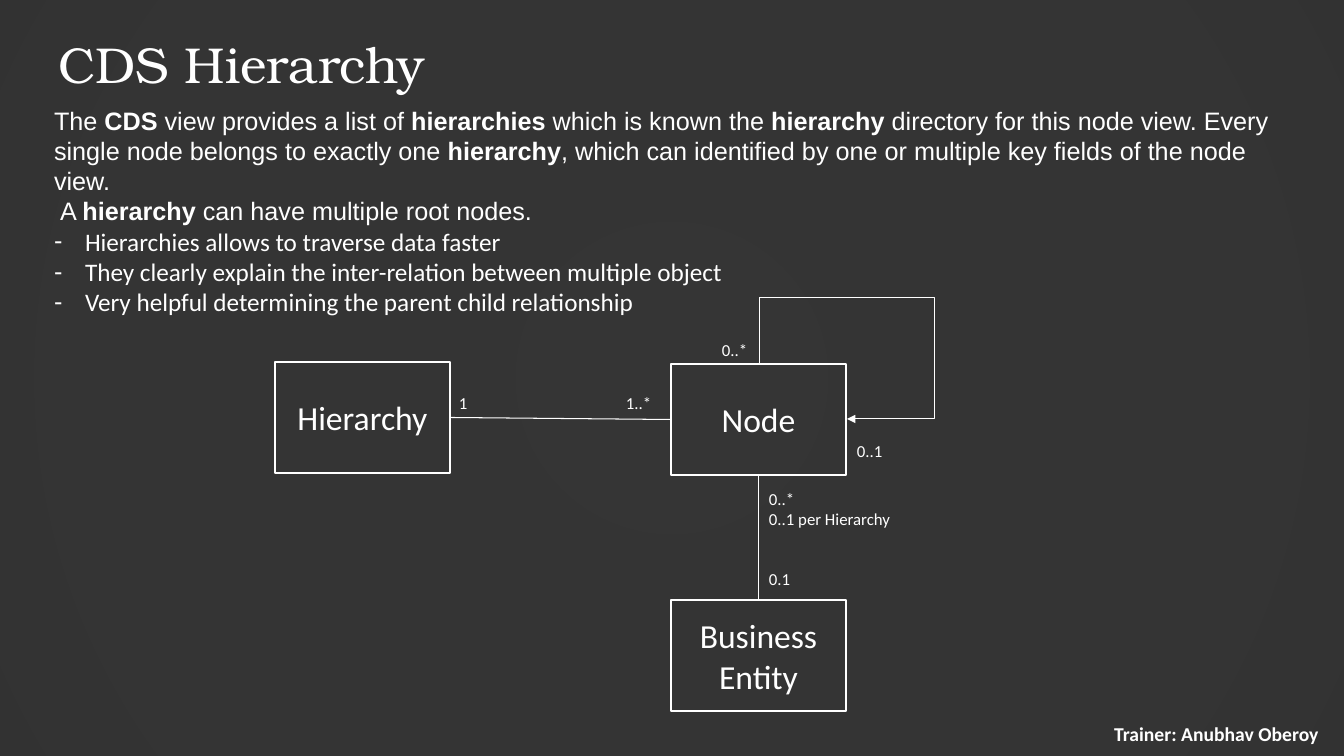
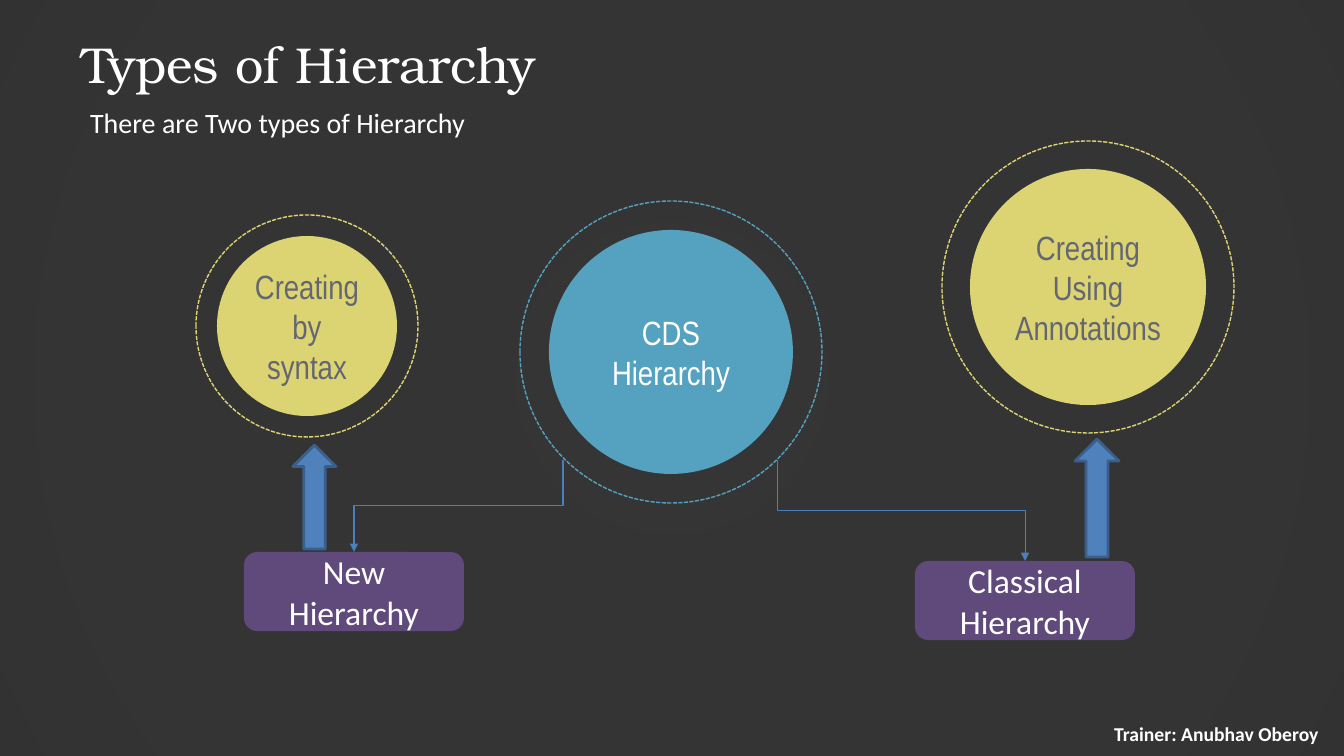
from lxml.etree import SubElement
from pptx import Presentation
from pptx.dml.color import RGBColor
from pptx.enum.dml import MSO_LINE
from pptx.enum.shapes import MSO_CONNECTOR, MSO_SHAPE
from pptx.enum.text import MSO_ANCHOR, MSO_AUTO_SIZE, PP_ALIGN
from pptx.oxml import parse_xml
from pptx.oxml.ns import nsdecls, qn
from pptx.util import Pt

PX = 9071
WIDTH, HEIGHT = 1344, 756
WHITE, DARK, GREY = "FFFFFF", "262626", "646772"
TEAL, YELLOW, PURPLE = "55A1C0", "DCD472", "604A7B"
BLUE, BLUE_EDGE, BLUE_LINE = "4F81BD", "3A5F8C", "4B7EBC"
TITLE_FONT, BODY_FONT = "TeX Gyre Bonum", "Calibri"
color = RGBColor.from_string


def add_figure(slide, kind, bounds, fill=None, line=None, width=1):
    shape = slide.shapes.add_shape(kind, *[value * PX for value in bounds])
    shape.shadow.inherit = False
    if fill:
        shape.fill.solid()
        shape.fill.fore_color.rgb = color(fill)
    else:
        shape.fill.background()
    if line:
        shape.line.color.rgb = color(line)
        shape.line.width = Pt(width)
    else:
        shape.line.fill.background()
    return shape


def write(shape, lines, size, font=BODY_FONT, ink=WHITE, align=PP_ALIGN.CENTER,
          anchor=MSO_ANCHOR.MIDDLE, margins=(10, 5)):
    frame = shape.text_frame
    frame.word_wrap = True
    frame.auto_size = MSO_AUTO_SIZE.NONE
    frame.vertical_anchor = anchor
    frame.margin_left = frame.margin_right = margins[0] * PX
    frame.margin_top = frame.margin_bottom = margins[1] * PX
    frame.text = "\n".join(lines)
    for paragraph in frame.paragraphs:
        pieces = paragraph.text.split("|")
        paragraph.text = pieces[0]
        for piece in pieces[1:]:
            paragraph.add_run().text = piece
        paragraph.alignment = align
        paragraph.space_before = Pt(0)
        for index, run in enumerate(paragraph.runs):
            run.font.size = Pt(size)
            run.font.name = font
            run.font.color.rgb = color(ink)
            run.font.bold = index % 2 == 1


presentation = Presentation()
presentation.slide_width = WIDTH * PX
presentation.slide_height = HEIGHT * PX

master = presentation.slide_master
master.background.fill.gradient()
gradient = master.element.find(".//" + qn("a:gradFill"))
gradient.getparent().replace(gradient, parse_xml(
    f'<a:gradFill {nsdecls("a")} rotWithShape="1"><a:gsLst>'
    '<a:gs pos="0"><a:srgbClr val="FFFFFF"/></a:gs>'
    '<a:gs pos="81000"><a:srgbClr val="EEEEEE"/></a:gs>'
    '<a:gs pos="100000"><a:srgbClr val="D9D9D9"/></a:gs></a:gsLst>'
    '<a:path path="circle"><a:fillToRect l="50000" t="50000" r="50000" b="50000"/></a:path>'
    '</a:gradFill>'))

slide_texts = [
    ("CDS Hierarchy", 45, (44, 100, 1255, 254), 18, [
        "The |CDS| view provides a list of |hierarchies| which is known the |hierarchy"
        "| directory for this node view. Every single node belongs to exactly one |hierarchy"
        "|, which can identified by one or multiple key fields of the node view.",
        "A |hierarchy| can have multiple root nodes.",
        "Hierarchies allows to traverse data faster",
        "They clearly explain the inter-relation between multiple object",
        "Very helpful determining the parent child relationship",
    ]),
    ("Types of Hierarchy", 68, (80, 100, 1068, 44), 20, ["There are Two types of Hierarchy"]),
]
slides = []
for title, title_left, body_bounds, body_size, body_lines in slide_texts:
    slide = presentation.slides.add_slide(presentation.slide_layouts[1])
    slides.append(slide)
    overlay = add_figure(slide, MSO_SHAPE.RECTANGLE, (0, -2, 1347, HEIGHT + 2), DARK)
    SubElement(overlay.element.find(".//" + qn("a:srgbClr")), qn("a:alpha"), val="93000")
    slide.shapes._spTree.insert(2, overlay.element)
    body = slide.placeholders[1]
    footer = slide.shapes.add_textbox(0, 0, 0, 0)
    for shape, bounds in [(slide.shapes.title, (title_left, 24, 1210, 79)),
                          (body, body_bounds), (footer, (1093, 714, 247, 39))]:
        shape.left, shape.top, shape.width, shape.height = [value * PX for value in bounds]
    write(slide.shapes.title, [title], 36, TITLE_FONT, align=PP_ALIGN.LEFT, margins=(13, 7))
    write(body, body_lines, body_size, align=PP_ALIGN.LEFT, anchor=MSO_ANCHOR.TOP)
    write(footer, ["Trainer: Anubhav Oberoy"], 14, margins=(13, 7))
    footer.text_frame.paragraphs[0].runs[0].font.bold = True
    for index, paragraph in enumerate(body.text_frame.paragraphs):
        properties = paragraph._p.get_or_add_pPr()
        left = 31 if index > 1 else 6 * index
        properties.set("marL", str(left * PX))
        properties.set("indent", str(-left * PX if index > 1 else 0))
        if index > 1:
            SubElement(properties, qn("a:buChar"), char="-")
        else:
            SubElement(properties, qn("a:buNone"))

diagram_slide, types_slide = slides
for paragraph in diagram_slide.placeholders[1].text_frame.paragraphs[:2]:
    for run in paragraph.runs:
        run.font.name = "Arial"

entities = []
for left, top, lines in [(275, 362, ["Hierarchy"]), (671, 364, ["Node"]),
                         (671, 600, ["Business", "Entity"])]:
    entity = add_figure(diagram_slide, MSO_SHAPE.RECTANGLE, (left, top, 175, 111), None, WHITE, 2)
    write(entity, lines, 24)
    entities.append(entity)
hierarchy, node, business = entities

connectors = []
for start, start_site, end, end_site in [(business, 0, node, 2), (node, 1, hierarchy, 3)]:
    connector = diagram_slide.shapes.add_connector(MSO_CONNECTOR.STRAIGHT, 0, 0, 0, 0)
    connector.begin_connect(start, start_site)
    connector.end_connect(end, end_site)
    connectors.append((connector, WHITE))

for left, middle, lines in [(459, 403, ["1"]), (626, 403, ["1..*"]), (722, 350, ["0..*"]),
                            (857, 451, ["0..1"]), (769, 509, ["0..*", "0..1 per Hierarchy"]),
                            (769, 579, ["0.1"])]:
    height = 20 * len(lines)
    label = diagram_slide.shapes.add_textbox(
        left * PX, (middle - height // 2) * PX, 140 * PX, height * PX)
    write(label, lines, 12, align=PP_ALIGN.LEFT, margins=(0, 0))

for middle_x, middle_y, outer, inner, fill, ink, text in [
        (671, 352, 302, 244, TEAL, WHITE, "CDS Hierarchy"),
        (1088, 287, 292, 236, YELLOW, GREY, "Creating Using Annotations"),
        (307, 326, 222, 180, YELLOW, GREY, "Creating by syntax")]:
    ring, disc = [(middle_x - size // 2, middle_y - size // 2, size, size)
                  for size in (outer, inner)]
    add_figure(types_slide, MSO_SHAPE.OVAL, ring, None, fill).line.dash_style = MSO_LINE.SQUARE_DOT
    write(add_figure(types_slide, MSO_SHAPE.OVAL, disc, fill), [text], 24, "Arial Narrow", ink)

for left, top, text in [(244, 552, "New Hierarchy"), (915, 561, "Classical Hierarchy")]:
    box = add_figure(types_slide, MSO_SHAPE.ROUNDED_RECTANGLE, (left, top, 220, 79), PURPLE)
    write(box, [text], 24)

for bounds in [(293, 445, 43, 104), (1075, 439, 44, 118)]:
    add_figure(types_slide, MSO_SHAPE.UP_ARROW, bounds, BLUE, BLUE_EDGE, 2)

for slide, start, end, preset, adjustments, line in [
        (diagram_slide, (759, 364), (847, 419), "bentConnector4", (-120900, 199800), WHITE),
        (types_slide, (563, 460), (354, 552), "bentConnector3", (50000,), BLUE_LINE),
        (types_slide, (777, 460), (1025, 561), "bentConnector3", (50000,), BLUE_LINE)]:
    across, down = abs(end[0] - start[0]) * PX, (end[1] - start[1]) * PX
    left = ((start[0] + end[0]) * PX - down) // 2
    top = ((start[1] + end[1]) * PX - across) // 2
    connector = slide.shapes.add_connector(
        MSO_CONNECTOR.ELBOW, left, top, left + down, top + across)
    transform = connector.element.find(".//" + qn("a:xfrm"))
    if end[0] > start[0]:
        transform.set("rot", "16200000")
        transform.set("flipH", "1")
    else:
        transform.set("rot", "5400000")
    geometry = connector.element.find(".//" + qn("a:prstGeom"))
    geometry.set("prst", preset)
    guides = geometry.find(qn("a:avLst"))
    for number, value in enumerate(adjustments, 1):
        SubElement(guides, qn("a:gd"), name=f"adj{number}", fmla=f"val {value}")
    connectors.append((connector, line))

for connector, line in connectors:
    connector.line.color.rgb = color(line)
    connector.line.width = Pt(0.75)
    properties = connector.element.spPr
    if properties.find(qn("a:prstGeom")).get("prst") != "line":
        SubElement(properties.find(qn("a:ln")), qn("a:tailEnd"), type="triangle")
    SubElement(properties, qn("a:effectLst"))

presentation.save("out.pptx")
